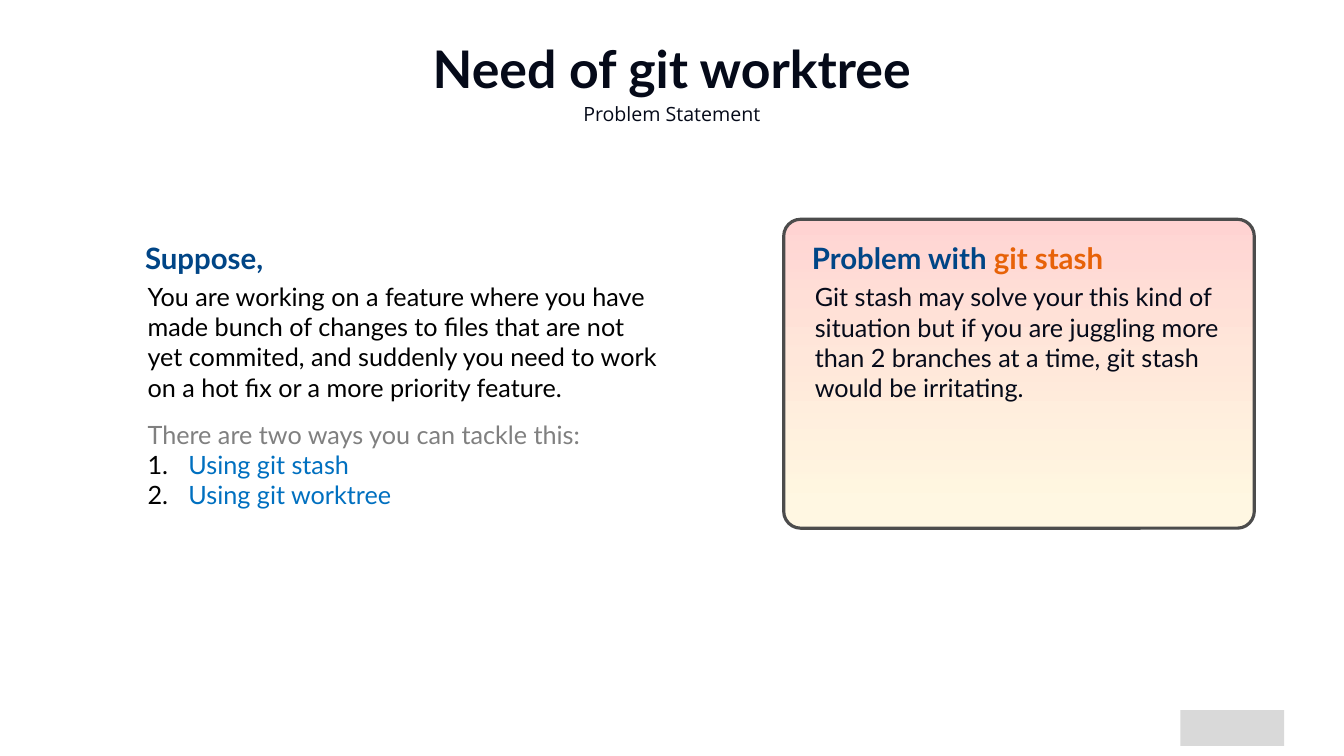
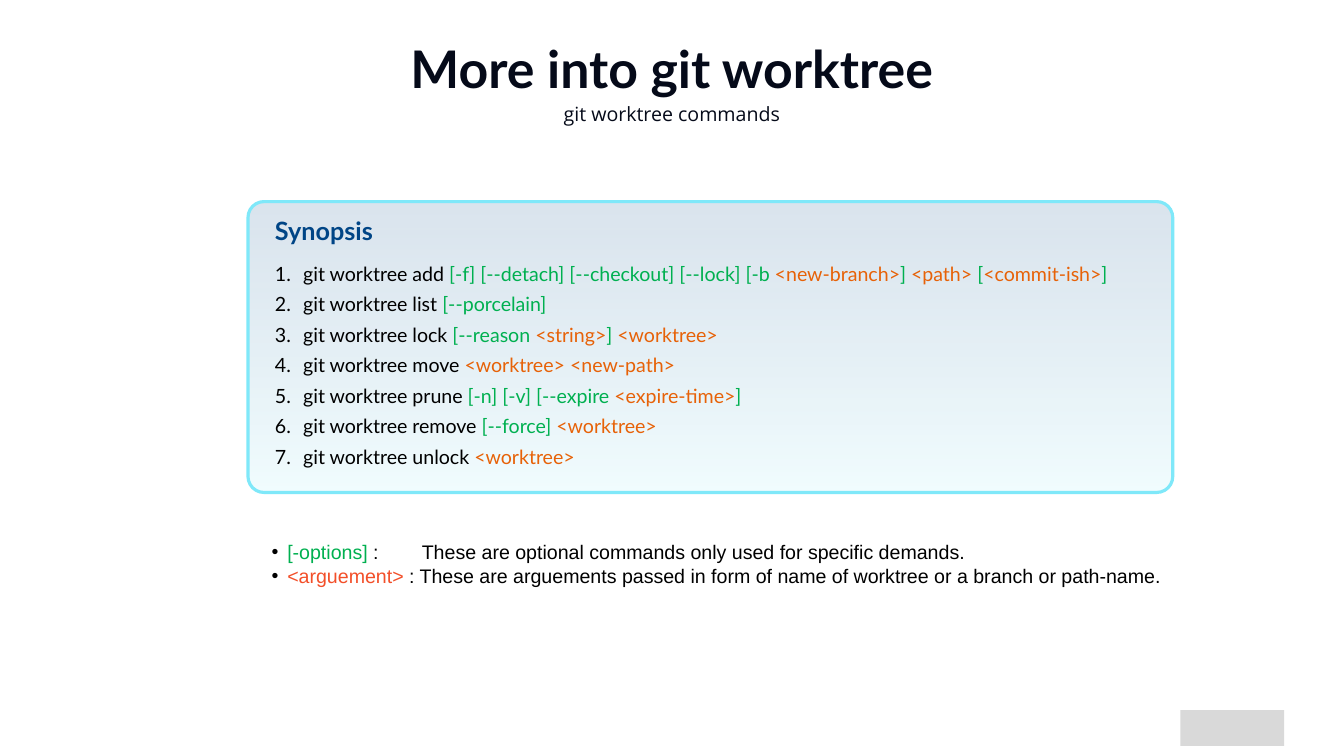
from collections import namedtuple
from dataclasses import dataclass
from itertools import groupby

from lxml.etree import SubElement
from pptx import Presentation
from pptx.dml.color import RGBColor
from pptx.enum.shapes import MSO_SHAPE
from pptx.enum.text import MSO_ANCHOR, PP_ALIGN
from pptx.oxml.ns import qn
from pptx.util import Cm, Pt

Box = namedtuple("Box", "left top width height")


@dataclass(frozen=True)
class Theme:
    """Colours, fonts and type sizes of the deck."""

    ink: str = "050A19"
    black: str = "000000"
    heading: str = "004586"
    muted: str = "808080"
    choice: str = "0070C0"
    option: str = "00B050"
    argument: str = "E76208"
    legend_argument: str = "F34F29"
    footer: str = "D9D9D9"
    problem_border: str = "4C4C4C"
    synopsis_border: str = "7FE8F9"
    problem_stops: tuple = ((0, "FF0000", 17), (0.91, "FFC000", 11))
    synopsis_stops: tuple = ((0, "004586", 15), (1, "AAF0FB", 17))
    face: str = "Lato"
    subtitle_face: str = "Open Sans"
    legend_face: str = "Arial"
    title_size: int = 74
    heading_size: int = 42
    body_size: int = 36
    small_size: int = 28
    border: float = 4.5


THEME = Theme()
MARGIN = 0.25

COMMANDS = (
    "git worktree add [-f] [--detach] [--checkout] [--lock] [-b <new-branch>] <path> [<commit-ish>]",
    "git worktree list [--porcelain]",
    "git worktree lock [--reason <string>] <worktree>",
    "git worktree move <worktree> <new-path>",
    "git worktree prune [-n] [-v] [--expire <expire-time>]",
    "git worktree remove [--force] <worktree>",
    "git worktree unlock <worktree>",
)


def inside(box, left, top, width, height):
    """Return a box whose offset is counted from the corner of another."""
    return Box(box.left + left, box.top + top, width, height)


def lengths(box):
    """Turn a box in centimetres into slide lengths."""
    return [Cm(value) for value in box]


def add_marker(paragraph, marker, indent):
    """Give a paragraph a hanging number or bullet."""
    properties = paragraph._p.get_or_add_pPr()
    properties.set("marL", str(Cm(indent)))
    properties.set("indent", str(-Cm(indent)))
    colour = SubElement(properties, qn("a:buClr"))
    SubElement(colour, qn("a:srgbClr"), val=THEME.black)
    SubElement(properties, qn("a:buFont"), typeface="+mj-lt" if marker == "1." else "Arial")
    if marker == "1.":
        SubElement(properties, qn("a:buAutoNum"), type="arabicPeriod")
    else:
        SubElement(properties, qn("a:buChar"), char=marker)


def add_tab(paragraph, position):
    """Set one left tab stop."""
    stops = SubElement(paragraph._p.get_or_add_pPr(), qn("a:tabLst"))
    SubElement(stops, qn("a:tab"), pos=str(Cm(position)), algn="l")


def write(paragraph, text, *, size, colour=THEME.black, face=THEME.face, bold=False,
          align=PP_ALIGN.LEFT, spacing=None, after=0, marker=None, indent=0, tab=None):
    """Fill a paragraph with a string or with (string, colour) runs."""
    paragraph.alignment = align
    paragraph.space_after = Pt(after)
    if spacing:
        paragraph.line_spacing = spacing
    if marker:
        add_marker(paragraph, marker, indent)
    if tab:
        add_tab(paragraph, tab)
    for words, shade in [(text, colour)] if isinstance(text, str) else text:
        run = paragraph.add_run()
        run.text = words
        run.font.size = Pt(size)
        run.font.name = face
        run.font.bold = bold
        run.font.color.rgb = RGBColor.from_string(shade)


def add_text(slide, box, *entries, margin=MARGIN, anchor=MSO_ANCHOR.TOP, **style):
    """Place a text box; an entry is its text or (text, own format)."""
    frame = slide.shapes.add_textbox(*lengths(box)).text_frame
    frame.word_wrap = True
    frame.vertical_anchor = anchor
    frame.margin_left = frame.margin_right = Cm(margin)
    frame.margin_top = frame.margin_bottom = Cm(margin / 2)
    for index, entry in enumerate(entries):
        text, own = entry if isinstance(entry, tuple) else (entry, {})
        paragraph = frame.add_paragraph() if index else frame.paragraphs[0]
        write(paragraph, text, **{**style, **own})


def add_card(slide, box, stops, border):
    """Draw a rounded card with a translucent vertical gradient."""
    card = slide.shapes.add_shape(MSO_SHAPE.ROUNDED_RECTANGLE, *lengths(box))
    card.adjustments[0] = 0.055
    card.shadow.inherit = False
    card.line.color.rgb = RGBColor.from_string(border)
    card.line.width = Pt(THEME.border)
    card.fill.gradient()
    card.fill.gradient_angle = 270
    for stop, (position, colour, _) in zip(card.fill.gradient_stops, stops):
        stop.position = position
        stop.color.rgb = RGBColor.from_string(colour)
    shades = card.element.spPr.find(qn("a:gradFill")).iter(qn("a:srgbClr"))
    for shade, (_, _, opacity) in zip(shades, stops):
        SubElement(shade, qn("a:alpha"), val=str(opacity * 1000))


def add_header(slide, box, title, subtitle):
    """Centre the title and its subtitle in the header region."""
    shared = dict(margin=0, align=PP_ALIGN.CENTER, colour=THEME.ink)
    add_text(slide, inside(box, 0, 0, box.width, 3.23), title,
             size=THEME.title_size, bold=True, **shared)
    add_text(slide, inside(box, 0, 3.3, box.width, 1.24), subtitle,
             size=THEME.small_size, face=THEME.subtitle_face, **shared)


def add_footer(slide, box):
    """Place a plain block in the corner."""
    block = slide.shapes.add_shape(MSO_SHAPE.RECTANGLE, *lengths(box))
    block.shadow.inherit = False
    block.fill.solid()
    block.fill.fore_color.rgb = RGBColor.from_string(THEME.footer)
    block.line.fill.background()


def add_situation(slide, box):
    """Describe the situation and the two ways out of it."""
    choice = dict(colour=THEME.choice, marker="1.", indent=2.06)
    add_text(slide, inside(box, 0.13, 2.06, 26.26, 11.89),
             ("You are working on a feature where you have made bunch of changes to files "
              "that are not yet commited, and suddenly you need to work on a hot fix or a "
              "more priority feature.", dict(after=24)),
             ("There are two ways you can tackle this:", dict(colour=THEME.muted)),
             ("Using git stash", choice),
             ("Using git worktree", choice),
             size=THEME.body_size)
    add_text(slide, inside(box, 0, 0, 19.3, 2.06), "Suppose,",
             size=THEME.heading_size, colour=THEME.heading, bold=True)


def add_problem(slide, box):
    """Explain the drawback of stashing on a card."""
    add_card(slide, box, THEME.problem_stops, THEME.problem_border)
    add_text(slide, inside(box, 1.17, 0.94, 20.65, 2.06),
             [("Problem with ", THEME.heading), ("git stash", THEME.argument)],
             size=THEME.heading_size, bold=True)
    add_text(slide, inside(box, 1.32, 3.02, 21.59, 6.4),
             "Git stash may solve your this kind of situation but if you are juggling more "
             "than 2 branches at a time, git stash would be irritating.",
             size=THEME.body_size, colour=THEME.ink)


def highlight(command):
    """Split a command into runs coloured by its brackets."""
    shades, current = [THEME.black], THEME.black
    tinted = []
    for letter in command:
        if letter in "[<":
            shades.append(THEME.option if letter == "[" else THEME.argument)
        if letter != " ":
            current = shades[-1]
        tinted.append((letter, current))
        if letter in "]>":
            shades.pop()
    return [("".join(letter for letter, _ in group), shade)
            for shade, group in groupby(tinted, key=lambda pair: pair[1])]


def add_synopsis(slide, box):
    """List the commands on a card."""
    add_card(slide, box, THEME.synopsis_stops, THEME.synopsis_border)
    add_text(slide, inside(box, 1.11, 0.56, 6.83, 1.8), "Synopsis",
             size=THEME.body_size, colour=THEME.heading, bold=True)
    add_text(slide, inside(box, 1.11, 2.54, 44.4, 11.13), *map(highlight, COMMANDS),
             size=THEME.small_size, spacing=1.3, marker="1.", indent=1.42)


def add_legend(slide, box):
    """Explain the two bracket notations."""
    add_text(slide, box,
             ([("[-options]", THEME.option),
               (" :\tThese are optional commands only used for specific demands.",
                THEME.black)], dict(tab=7.57)),
             [("<arguement>", THEME.legend_argument),
              (" : These are arguements passed in form of name of worktree or a branch "
               "or path-name.", THEME.black)],
             size=THEME.small_size, face=THEME.legend_face, marker="•", indent=0.79,
             anchor=MSO_ANCHOR.MIDDLE)


def add_slide(deck, title, subtitle):
    """Start a blank slide with the shared header and footer."""
    slide = deck.slides.add_slide(deck.slide_layouts[6])
    add_header(slide, Box(4.65, 1.85, 58.42, 4.55), title, subtitle)
    add_footer(slide, Box(59.49, 35.79, 5.23, 1.8))
    return slide


def main():
    """Build and save the deck."""
    deck = Presentation()
    deck.slide_width, deck.slide_height = Cm(67.74), Cm(38.1)

    need = add_slide(deck, "Need of git worktree", "Problem Statement")
    add_problem(need, Box(39.5, 11.05, 23.72, 15.57))
    add_situation(need, Box(7.06, 11.99, 26.39, 13.95))

    more = add_slide(deck, "More into git worktree", "git worktree commands")
    add_synopsis(more, Box(12.5, 10.16, 46.61, 14.66))
    add_legend(more, Box(13.44, 27.08, 47.47, 2.64))

    deck.save("out.pptx")


if __name__ == "__main__":
    main()
